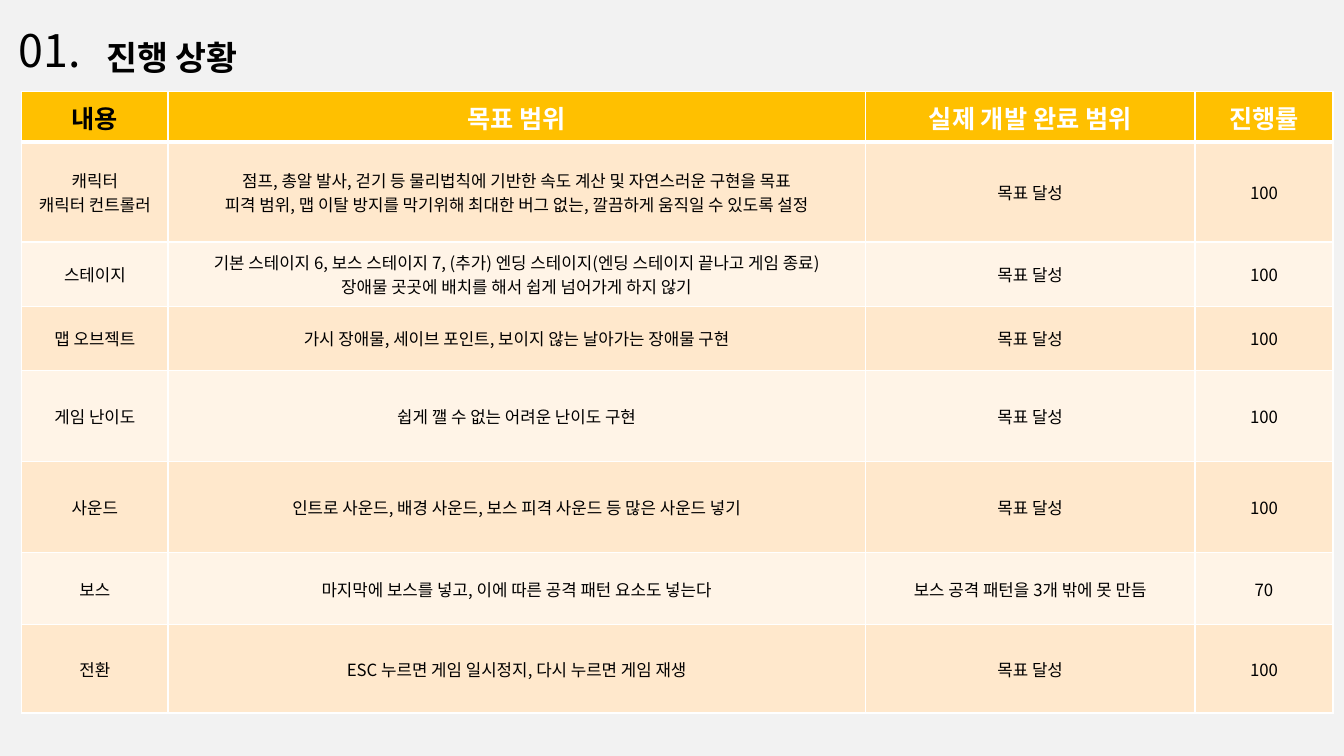
import dataclasses

import pptx
import pptx.dml.color
import pptx.enum.text
import pptx.oxml.ns
import pptx.util
from lxml import etree

Pt = pptx.util.Pt
ALIGN = pptx.enum.text.PP_ALIGN
MIDDLE = pptx.enum.text.MSO_ANCHOR.MIDDLE
FONT = "Noto Sans CJK KR"
BLACK = "000000"
WHITE = "FFFFFF"
HEADER_FILL = "FFC000"
BAND_FILLS = ("FFE8CC", "FFF4E7")
DONE = "목표 달성"
HEADERS = ("내용", "목표 범위", "실제 개발 완료 범위", "진행률")
COLUMN_WIDTHS = (104.4, 498.2, 235.4, 98.6)
HEADER_HEIGHT = 36


@dataclasses.dataclass
class Progress:
    topic: str
    goal: str
    height: float
    result: str = DONE
    rate: int = 100


PROGRESS = (
    Progress(
        "캐릭터\n캐릭터 컨트롤러",
        "점프, 총알 발사, 걷기 등 물리법칙에 기반한 속도 계산 및 자연스러운 구현을 목표\n"
        "피격 범위, 맵 이탈 방지를 막기위해 최대한 버그 없는, 깔끔하게 움직일 수 있도록 설정",
        71.3,
    ),
    Progress(
        "스테이지",
        "기본 스테이지 6, 보스 스테이지 7, (추가) 엔딩 스테이지(엔딩 스테이지 끝나고 게임 종료)\n"
        "장애물 곳곳에 배치를 해서 쉽게 넘어가게 하지 않기",
        46,
    ),
    Progress("맵 오브젝트", "가시 장애물, 세이브 포인트, 보이지 않는 날아가는 장애물 구현", 46),
    Progress("게임 난이도", "쉽게 깰 수 없는 어려운 난이도 구현", 65),
    Progress("사운드", "인트로 사운드, 배경 사운드, 보스 피격 사운드 등 많은 사운드 넣기", 65),
    Progress(
        "보스",
        "마지막에 보스를 넣고, 이에 따른 공격 패턴 요소도 넣는다",
        51.5,
        "보스 공격 패턴을 3개 밖에 못 만듬",
        70,
    ),
    Progress("전환", "ESC 누르면 게임 일시정지, 다시 누르면 게임 재생", 63),
)


def set_color(color_format, value: str) -> None:
    color_format.rgb = pptx.dml.color.RGBColor.from_string(value)


def set_fill(fill, value: str) -> None:
    fill.solid()
    set_color(fill.fore_color, value)


def write_text(text_frame, text: str, size: float, color: str, bold: bool, alignment) -> None:
    text_frame.text = text
    for paragraph in text_frame.paragraphs:
        paragraph.alignment = alignment
        font = paragraph.font
        font.size = Pt(size)
        font.bold = bold
        font.name = FONT
        set_color(font.color, color)
        properties = paragraph._p.pPr.find(pptx.oxml.ns.qn("a:defRPr"))
        east_asian = etree.SubElement(properties, pptx.oxml.ns.qn("a:ea"))
        east_asian.set("typeface", FONT)


def set_borders(cell, top: float, bottom: float) -> None:
    properties = cell._tc.get_or_add_tcPr()
    for side, width in (("L", 1), ("R", 1), ("T", top), ("B", bottom)):
        line = etree.SubElement(properties, pptx.oxml.ns.qn(f"a:ln{side}"))
        line.set("w", str(Pt(width)))
        fill = etree.SubElement(line, pptx.oxml.ns.qn("a:solidFill"))
        etree.SubElement(fill, pptx.oxml.ns.qn("a:srgbClr")).set("val", WHITE)


def place_heading(
    shape, text: str, left: float, top: float, width: float, height: float,
    size: float, bold: bool, wrap: bool,
) -> None:
    shape.left, shape.top = Pt(left), Pt(top)
    shape.width, shape.height = Pt(width), Pt(height)
    text_frame = shape.text_frame
    text_frame.auto_size = pptx.enum.text.MSO_AUTO_SIZE.NONE
    text_frame.word_wrap = wrap
    text_frame.vertical_anchor = MIDDLE
    text_frame.margin_left = text_frame.margin_right = 0
    text_frame.margin_top = text_frame.margin_bottom = 0
    write_text(text_frame, text, size, BLACK, bold, ALIGN.LEFT)


def add_progress_table(slide) -> None:
    heights = (HEADER_HEIGHT, *(item.height for item in PROGRESS))
    frame = slide.shapes.add_table(
        len(heights), len(HEADERS),
        Pt(15.6), Pt(65.6), Pt(sum(COLUMN_WIDTHS)), Pt(sum(heights)),
    )
    table = frame.table
    table.horz_banding = False
    table.first_row = True
    for column, width in zip(table.columns, COLUMN_WIDTHS):
        column.width = Pt(width)
    for row, height in zip(table.rows, heights):
        row.height = Pt(height)
    rows = [HEADERS]
    rows += [(item.topic, item.goal, item.result, str(item.rate)) for item in PROGRESS]
    for row_index, texts in enumerate(rows):
        is_header = row_index == 0
        fill = HEADER_FILL if is_header else BAND_FILLS[(row_index - 1) % 2]
        for column_index, text in enumerate(texts):
            cell = table.cell(row_index, column_index)
            set_borders(cell, 3 if row_index == 1 else 1, 3 if is_header else 1)
            set_fill(cell.fill, fill)
            cell.vertical_anchor = MIDDLE
            color = WHITE if is_header and column_index > 0 else BLACK
            size = 18 if is_header else 12
            write_text(cell.text_frame, text, size, color, is_header, ALIGN.CENTER)


def main() -> None:
    presentation = pptx.Presentation()
    presentation.slide_width, presentation.slide_height = Pt(960), Pt(540)
    slide = presentation.slides.add_slide(presentation.slide_layouts[5])
    set_fill(slide.background.fill, "F2F2F2")
    place_heading(slide.shapes.title, "진행 상황", 76, 22.5, 230, 36, 24, True, True)
    number = slide.shapes.add_textbox(Pt(0), Pt(0), Pt(50), Pt(46))
    place_heading(number, "01.", 13.5, 12.5, 50, 46, 32, False, False)
    add_progress_table(slide)
    presentation.save("out.pptx")


if __name__ == "__main__":
    main()
